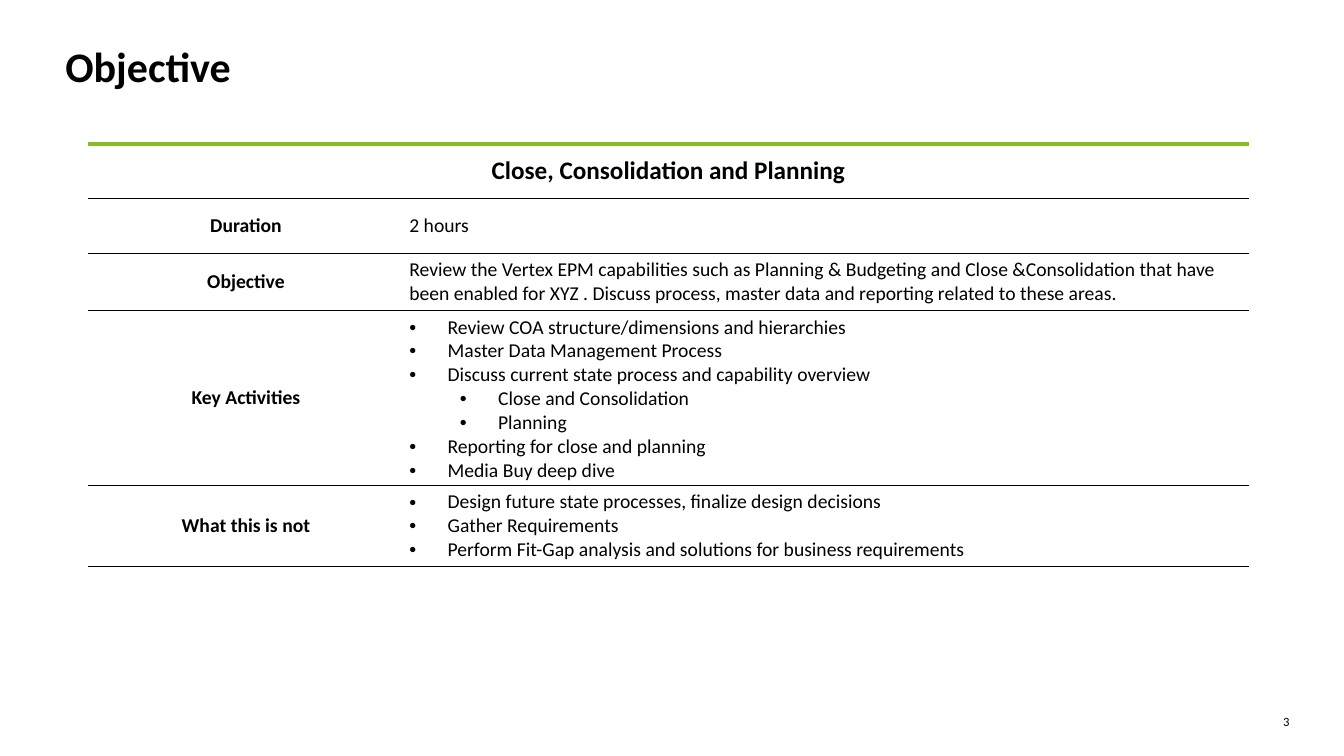
from lxml import etree
from pptx import Presentation, util as u
from pptx.dml.color import RGBColor
from pptx.enum import text
from pptx.oxml.ns import qn

COLORS = {"text": "000000", "rule": "000000", "accent": "86BC25"}
HAIRLINE = ("rule", 0.25)
TOP_RULE = ("accent", 3)


class SlideBuilder:
    font = "Calibri"
    inset = u.Inches(0.05)
    hang = u.Inches(0.38)
    level_step = u.Inches(0.5)

    def __init__(self, prs):
        self.s = prs.slides.add_slide(prs.slide_layouts[6])

    def run(self, p, words, size, bold=False):
        r = p.add_run()
        r.text = words
        r.font.name, r.font.size, r.font.bold = self.font, u.Pt(size), bold
        r.font.color.rgb = RGBColor.from_string(COLORS["text"])

    def text_box(self, words, box, size, bold=False, align=None, inset=None):
        sp = self.s.shapes.add_textbox(*map(u.Inches, box))
        tf = sp.text_frame
        tf.word_wrap = True
        if inset is not None:
            tf.margin_left = tf.margin_right = inset
            tf.margin_top = tf.margin_bottom = inset
        p = tf.paragraphs[0]
        p.alignment = align
        self.run(p, words, size, bold)

    def bullet(self, p, level):
        p.level = level
        ppr = p._p.get_or_add_pPr()
        ppr.set("marL", str(self.hang + level * self.level_step))
        ppr.set("indent", str(-self.hang))
        color = etree.SubElement(ppr, qn("a:buClr"))
        etree.SubElement(color, qn("a:srgbClr"), val=COLORS["text"])
        etree.SubElement(ppr, qn("a:buFont"), typeface="Arial")
        etree.SubElement(ppr, qn("a:buChar"), char="•")

    def borders(self, cell, top, bottom):
        tcpr = cell._tc.get_or_add_tcPr()
        sides = {"L": None, "R": None, "T": top, "B": bottom}
        for i, (side, line) in enumerate(sides.items()):
            ln = etree.Element(qn("a:ln" + side))
            if line:
                color, width = line
                ln.set("w", str(u.Pt(width)))
                fill = etree.SubElement(ln, qn("a:solidFill"))
                etree.SubElement(fill, qn("a:srgbClr"), val=COLORS[color])
            else:
                etree.SubElement(ln, qn("a:noFill"))
            tcpr.insert(i, ln)

    def cell(self, cell, lines, size, bold=False, align=None, bulleted=False):
        cell.vertical_anchor = text.MSO_ANCHOR.MIDDLE
        cell.margin_left = cell.margin_right = self.inset
        cell.margin_top = cell.margin_bottom = self.inset
        tf = cell.text_frame
        for i, (level, words) in enumerate(lines):
            p = tf.add_paragraph() if i else tf.paragraphs[0]
            if bulleted:
                self.bullet(p, level)
            p.alignment = align
            self.run(p, words, size, bold)

    def table(self, heading, rows, box, widths, heights):
        table = self.s.shapes.add_table(
            len(rows) + 1, len(widths), *map(u.Inches, box)).table
        table.first_row = table.horz_banding = False
        for column, width in zip(table.columns, widths):
            column.width = u.Inches(width)
        for i, (row, height) in enumerate(zip(table.rows, heights)):
            row.height = u.Inches(height)
            for c in row.cells:
                c.fill.background()
                self.borders(c, HAIRLINE if i else TOP_RULE, HAIRLINE)

        center = text.PP_ALIGN.CENTER
        table.cell(0, 0).merge(table.cell(0, 1))
        self.cell(table.cell(0, 0), [(0, heading)], 18, True, center)
        for i, (label, bulleted, lines) in enumerate(rows, 1):
            self.cell(table.cell(i, 0), [(0, label)], 14, True, center)
            self.cell(table.cell(i, 1), lines, 14, bulleted=bulleted)


# Row label, bulleted or not, lines as (level, words)
SESSION = [
    ("Duration", False, [(0, "2 hours")]),
    ("Objective", False, [
        (0, "Review the Vertex EPM capabilities such as Planning & Budgeting "
            "and Close &Consolidation that have been enabled for XYZ . Discuss "
            "process, master data and reporting related to these areas."),
    ]),
    ("Key Activities", True, [
        (0, "Review COA structure/dimensions and hierarchies"),
        (0, "Master Data Management Process"),
        (0, "Discuss current state process and capability overview"),
        (1, "Close and Consolidation"),
        (1, "Planning"),
        (0, "Reporting for close and planning"),
        (0, "Media Buy deep dive"),
    ]),
    ("What this is not", True, [
        (0, "Design future state processes, finalize design decisions"),
        (0, "Gather Requirements"),
        (0, "Perform Fit-Gap analysis and solutions for business requirements"),
    ]),
]


def main():
    prs = Presentation()
    prs.slide_width, prs.slide_height = u.Inches(13.33), u.Inches(7.5)
    slide = SlideBuilder(prs)

    # Slide number and title
    slide.text_box("3", (12.45, 7.08, 0.34, 0.15), 9,
                   align=text.PP_ALIGN.RIGHT, inset=0)
    slide.text_box("Objective", (0.55, 0.35, 12.24, 0.37), 30, bold=True)

    # Session table
    slide.table("Close, Consolidation and Planning", SESSION,
                (0.87, 1.43, 11.52, 4.17), (3.14, 8.38),
                (0.54, 0.54, 0.57, 1.73, 0.79))

    prs.save("out.pptx")


if __name__ == "__main__":
    main()
